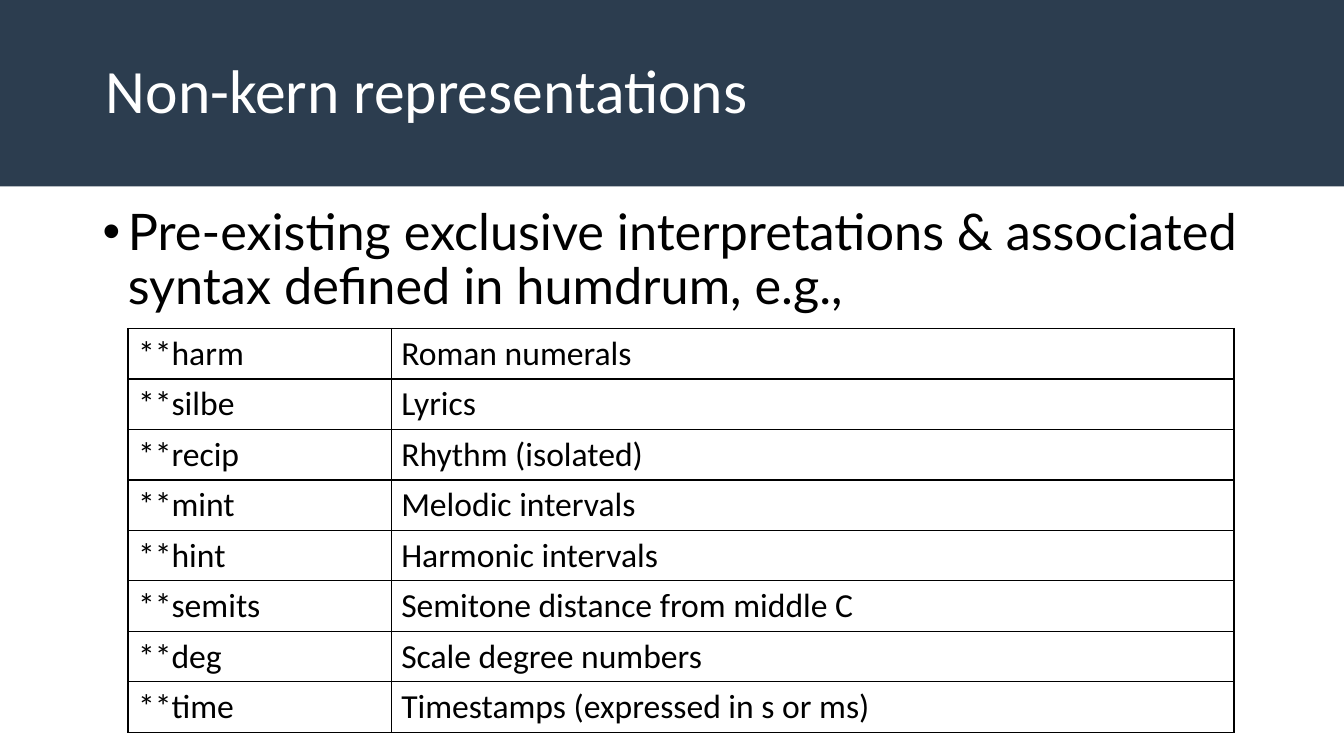
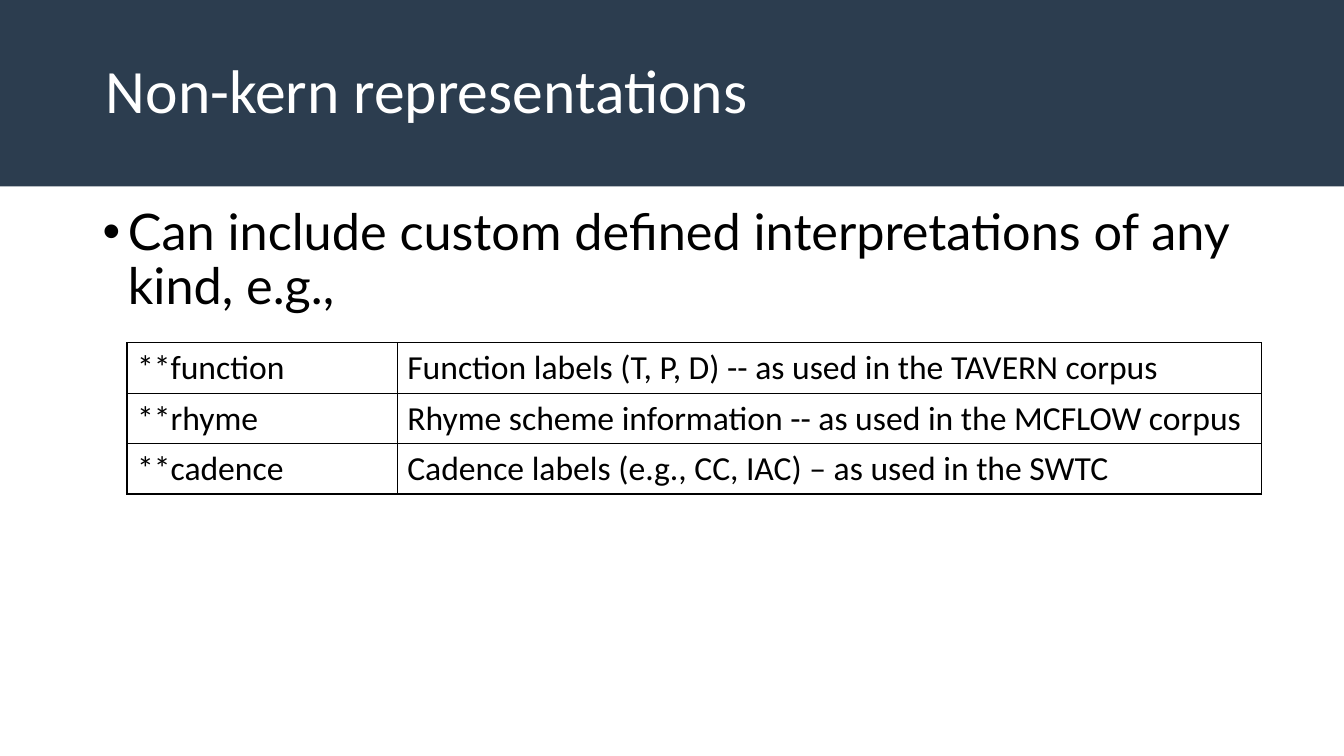
from dataclasses import dataclass
from typing import Any

from lxml.etree import SubElement
from pptx import Presentation
from pptx.dml.color import RGBColor
from pptx.enum.shapes import MSO_SHAPE
from pptx.enum.text import MSO_ANCHOR, PP_ALIGN
from pptx.oxml.ns import qn
from pptx.util import Inches, Pt

NAVY, WHITE, BLACK = "2C3D4F", "FFFFFF", "000000"
TITLE_FONT = {"name": "Calibri", "size": Pt(44)}
BODY_FONT = {"name": "Lato", "size": Pt(36)}
CELL_FONT = {"name": "Calibri", "size": Pt(24)}
TITLE_FRAME = {"word_wrap": True, "vertical_anchor": MSO_ANCHOR.MIDDLE,
               "margin_left": Inches(1.05)}
TITLE_PARA = {"alignment": PP_ALIGN.LEFT, "line_spacing": 0.9}
BODY_PARA = {"line_spacing": 0.9, "space_before": Pt(10)}
TABLE_FLAGS = {"first_row": False, "horz_banding": False}
ROW_HEIGHT = 0.5


@dataclass
class TableSlide:
    title: str
    bullet: str
    left: float
    top: float
    widths: tuple[float, float]
    rows: list[tuple[str, str]]


SLIDES = [
    TableSlide(
        "Non-kern representations",
        "Pre-existing exclusive interpretations & associated syntax defined in humdrum, e.g.,",
        1.27, 3.26, (2.61, 8.36),
        [("**harm", "Roman numerals"),
         ("**silbe", "Lyrics"),
         ("**recip", "Rhythm (isolated)"),
         ("**mint", "Melodic intervals"),
         ("**hint", "Harmonic intervals"),
         ("**semits", "Semitone distance from middle C"),
         ("**deg", "Scale degree numbers"),
         ("**time", "Timestamps (expressed in s or ms)")]),
    TableSlide(
        "Non-kern representations",
        "Can include custom defined interpretations of any kind, e.g.,",
        1.26, 3.4, (2.68, 8.57),
        [("**function", "Function labels (T, P, D) -- as used in the TAVERN corpus"),
         ("**rhyme", "Rhyme scheme information -- as used in the MCFLOW corpus"),
         ("**cadence", "Cadence labels (e.g., CC, IAC) – as used in the SWTC")]),
]


def rgb(color: str) -> RGBColor:
    return RGBColor.from_string(color)


def set_format(obj: Any, values: dict[str, Any]) -> None:
    for name, value in values.items():
        setattr(obj, name, value)


def add_text(p: Any, text: str, font: dict[str, Any], color: str) -> None:
    r = p.add_run()
    r.text = text
    set_format(r.font, font)
    r.font.color.rgb = rgb(color)


def add_title(s: Any, text: str, width: int) -> None:
    sp = s.shapes.add_shape(MSO_SHAPE.RECTANGLE, 0, 0, width, Inches(1.85))
    sp.shadow.inherit = False
    sp.fill.solid()
    sp.fill.fore_color.rgb = rgb(NAVY)
    sp.line.fill.background()
    tf = sp.text_frame
    set_format(tf, TITLE_FRAME)
    p = tf.paragraphs[0]
    set_format(p, TITLE_PARA)
    add_text(p, text, TITLE_FONT, WHITE)


def add_bullet(s: Any, text: str) -> None:
    sp = s.shapes.add_textbox(Inches(0.92), Inches(2), Inches(11.5), Inches(4.76))
    tf = sp.text_frame
    tf.word_wrap = True
    p = tf.paragraphs[0]
    set_format(p, BODY_PARA)
    pPr = p._p.get_or_add_pPr()
    pPr.set("marL", str(Inches(0.25)))
    pPr.set("indent", str(-Inches(0.25)))
    SubElement(pPr, qn("a:buFont"), typeface="Arial")
    SubElement(pPr, qn("a:buChar"), char="•")
    add_text(p, text, BODY_FONT, BLACK)


def add_borders(cell: Any) -> None:
    tcPr = cell._tc.get_or_add_tcPr()
    for side in ("a:lnL", "a:lnR", "a:lnT", "a:lnB"):
        ln = SubElement(tcPr, qn(side), w=str(Pt(1)))
        fill = SubElement(ln, qn("a:solidFill"))
        SubElement(fill, qn("a:srgbClr"), val=BLACK)


def add_grid(s: Any, spec: TableSlide) -> None:
    table = s.shapes.add_table(
        len(spec.rows), len(spec.widths), Inches(spec.left), Inches(spec.top),
        Inches(sum(spec.widths)), Inches(ROW_HEIGHT * len(spec.rows))).table
    set_format(table, TABLE_FLAGS)
    for column, width in zip(table.columns, spec.widths):
        column.width = Inches(width)
    for row, texts in zip(table.rows, spec.rows):
        for cell, text in zip(row.cells, texts):
            add_borders(cell)
            cell.fill.background()
            add_text(cell.text_frame.paragraphs[0], text, CELL_FONT, BLACK)


def main() -> None:
    prs = Presentation()
    set_format(prs, {"slide_width": Inches(13.33), "slide_height": Inches(7.5)})
    for spec in SLIDES:
        s = prs.slides.add_slide(prs.slide_layouts[6])
        add_title(s, spec.title, prs.slide_width)
        add_bullet(s, spec.bullet)
        add_grid(s, spec)
    prs.save("out.pptx")


if __name__ == "__main__":
    main()
